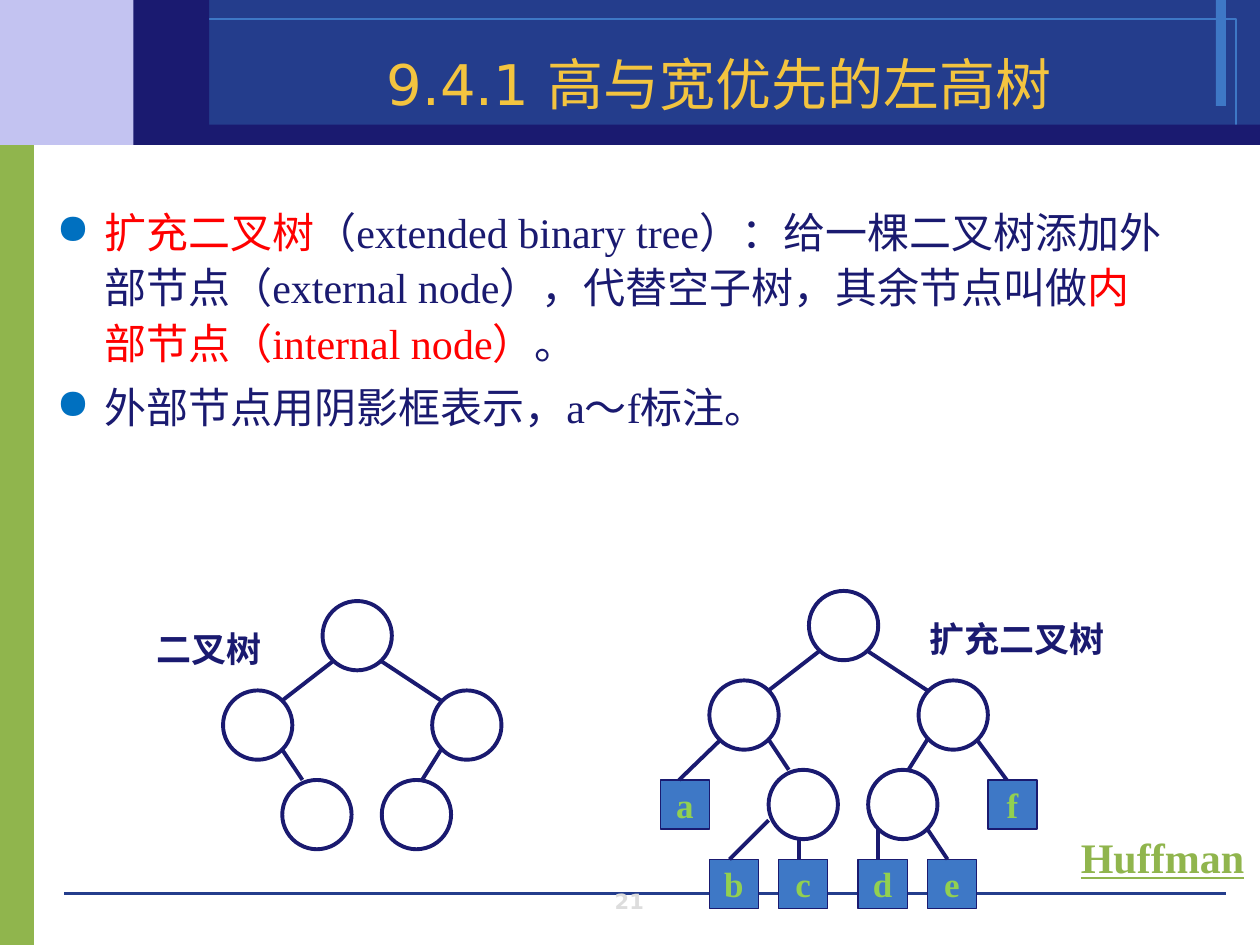
from lxml.etree import SubElement
from pptx import Presentation
from pptx.dml.color import RGBColor
from pptx.enum.shapes import MSO_CONNECTOR as Connector, MSO_SHAPE as Shape
from pptx.enum.text import MSO_ANCHOR as Anchor, PP_ALIGN as Align
from pptx.oxml.ns import qn
from pptx.util import Inches, Pt

NAVY, BLUE, SKY, GREEN, RED = "1A1A70", "243D8C", "3E78C6", "90B54D", "FF0000"
SERIF, SANS = "Times New Roman", "DejaVu Sans"
NODE_SIZE, LEAF_SIZE = 0.55, 0.39

BANDS = [
    (0, 1.07, 0.27, 6.43, GREEN),
    (0, 0, 1.53, 1.15, "C3C3F1"),
    (1.53, 0, 8.47, 1.15, BLUE),
    (9.65, 0, 0.08, 0.84, SKY),
]
OVERLAY_BANDS = [(1.3, 0.99, 8.7, 0.16, NAVY), (1.06, 0, 0.6, 1.15, NAVY)]

NODES = [(2.56, 4.77), (1.77, 5.48), (3.43, 5.48), (2.24, 6.19), (3.03, 6.19)]
EDGES = [
    (2.24, 5.56, 2.64, 5.25),
    (3.5, 5.56, 3.03, 5.25),
    (2.4, 6.19, 2.24, 5.95),
    (3.35, 6.19, 3.5, 5.95),
]
EXTENDED_OFFSET = (3.86, -0.08)
LEAVES = {
    "a": (5.24, 6.19), "b": (5.63, 6.82), "c": (6.18, 6.82),
    "d": (6.81, 6.82), "e": (7.36, 6.82), "f": (7.84, 6.19),
}
LEAF_EDGES = [
    (5.39, 6.19, 5.71, 5.88),
    (5.79, 6.82, 6.1, 6.51),
    (6.34, 6.82, 6.34, 6.66),
    (6.97, 6.82, 6.97, 6.58),
    (7.52, 6.82, 7.36, 6.58),
    (7.99, 6.19, 7.76, 5.88),
]
DEFINITIONS = [
    [
        ("扩充二叉树", RED),
        ("（extended binary tree）：给一棵二叉树添加外部节点（external node），代替空子树，其余节点叫做", NAVY),
        ("内部节点（internal node）", RED),
        ("。", NAVY),
    ],
    [("外部节点用阴影框表示，a～f标注。", NAVY)],
]


def rgb(value):
    return RGBColor.from_string(value)


def style_font(font, size, color, name=SERIF, bold=False, underline=False):
    font.size, font.name, font.bold = Pt(size), name, bold
    font.underline = underline
    font.color.rgb = rgb(color)


def add_outline(slide, kind, left, top, width, height, fill=None, line=None, weight=0):
    shape = slide.shapes.add_shape(
        kind, Inches(left), Inches(top), Inches(width), Inches(height))
    shape.shadow.inherit = False
    if fill:
        shape.fill.solid()
        shape.fill.fore_color.rgb = rgb(fill)
    else:
        shape.fill.background()
    if line:
        shape.line.color.rgb = rgb(line)
        shape.line.width = Pt(weight)
    else:
        shape.line.fill.background()
    return shape


def add_bands(slide, bands):
    for left, top, width, height, color in bands:
        add_outline(slide, Shape.RECTANGLE, left, top, width, height, fill=color)


def add_line(slide, x1, y1, x2, y2, color=NAVY, weight=2.25):
    line = slide.shapes.add_connector(
        Connector.STRAIGHT, Inches(x1), Inches(y1), Inches(x2), Inches(y2))
    line.line.color.rgb = rgb(color)
    line.line.width = Pt(weight)
    SubElement(line.element.spPr, qn("a:effectLst"))


def add_tree(slide, dx=0, dy=0):
    for left, top in NODES:
        add_outline(slide, Shape.OVAL, left + dx, top + dy, NODE_SIZE, NODE_SIZE,
                    line=NAVY, weight=2.25)
    for x1, y1, x2, y2 in EDGES:
        add_line(slide, x1 + dx, y1 + dy, x2 + dx, y2 + dy)


def add_leaf(slide, letter, left, top):
    leaf = add_outline(slide, Shape.RECTANGLE, left, top, LEAF_SIZE, LEAF_SIZE,
                       fill=SKY, line=NAVY, weight=0.75)
    frame = leaf.text_frame
    frame.word_wrap = False
    frame.vertical_anchor = Anchor.MIDDLE
    frame.text = letter
    paragraph = frame.paragraphs[0]
    paragraph.alignment = Align.CENTER
    style_font(paragraph.runs[0].font, 20, "92D050", bold=True)


def add_label(slide, text, left, top, width, height, size, color, name=SERIF,
              align=Align.LEFT, anchor=Anchor.TOP, wrap=True, underline=False):
    box = slide.shapes.add_textbox(
        Inches(left), Inches(top), Inches(width), Inches(height))
    frame = box.text_frame
    frame.word_wrap = wrap
    frame.vertical_anchor = anchor
    frame.text = text
    paragraph = frame.paragraphs[0]
    paragraph.alignment = align
    style_font(paragraph.runs[0].font, size, color, name, True, underline)


def set_title(slide, text):
    title = slide.shapes.title
    title.element.getparent().append(title.element)
    title.left, title.top = Inches(1.42), Inches(0.05)
    title.width, title.height = Inches(8.58), Inches(0.93)
    frame = title.text_frame
    frame.text = text
    frame.vertical_anchor = Anchor.BOTTOM
    paragraph = frame.paragraphs[0]
    paragraph.alignment = Align.CENTER
    style_font(paragraph.runs[0].font, 32, "F3C43F", SANS)


def add_bullet(paragraph):
    properties = paragraph._p.get_or_add_pPr()
    properties.set("marL", str(Inches(0.38)))
    properties.set("indent", str(-Inches(0.38)))
    color = SubElement(properties, qn("a:buClr"))
    SubElement(color, qn("a:srgbClr"), val="0070C0")
    SubElement(properties, qn("a:buChar"), char="●")


def add_definitions(slide):
    box = slide.shapes.add_textbox(Inches(0.35), Inches(1.55), Inches(9), Inches(2.51))
    frame = box.text_frame
    frame.word_wrap = True
    for index, parts in enumerate(DEFINITIONS):
        paragraph = frame.add_paragraph() if index else frame.paragraphs[0]
        add_bullet(paragraph)
        paragraph.line_spacing = 1.1
        if index:
            paragraph.space_before = Pt(4.8)
        for text, color in parts:
            run = paragraph.add_run()
            run.text = text
            style_font(run.font, 24, color)


def main():
    deck = Presentation()
    deck.slide_width, deck.slide_height = Inches(10), Inches(7.5)
    slide = deck.slides.add_slide(deck.slide_layouts[5])

    add_bands(slide, BANDS)
    add_outline(slide, Shape.RECTANGLE, 1.19, 0.15, 8.62, 0.85, line=SKY)
    add_line(slide, 0.51, 7.09, 9.73, 7.09, BLUE, 0)
    add_bands(slide, OVERLAY_BANDS)
    add_label(slide, "21", 3.83, 7.05, 2.33, 0.25, 12, "DDDDDD", SANS,
              Align.CENTER, Anchor.BOTTOM)
    set_title(slide, "9.4.1 高与宽优先的左高树")
    add_definitions(slide)

    add_tree(slide)
    add_tree(slide, *EXTENDED_OFFSET)
    for letter, (left, top) in LEAVES.items():
        add_leaf(slide, letter, left, top)
    for edge in LEAF_EDGES:
        add_line(slide, *edge)

    add_label(slide, "二叉树", 1.14, 4.93, 1.1, 0.43, 20, NAVY)
    add_label(slide, "扩充二叉树", 7.28, 4.85, 1.65, 0.43, 20, NAVY)
    add_label(slide, "Huffman", 8.48, 6.55, 1.5, 0.5, 24, GREEN,
              wrap=False, underline=True)
    deck.save("out.pptx")


if __name__ == "__main__":
    main()
